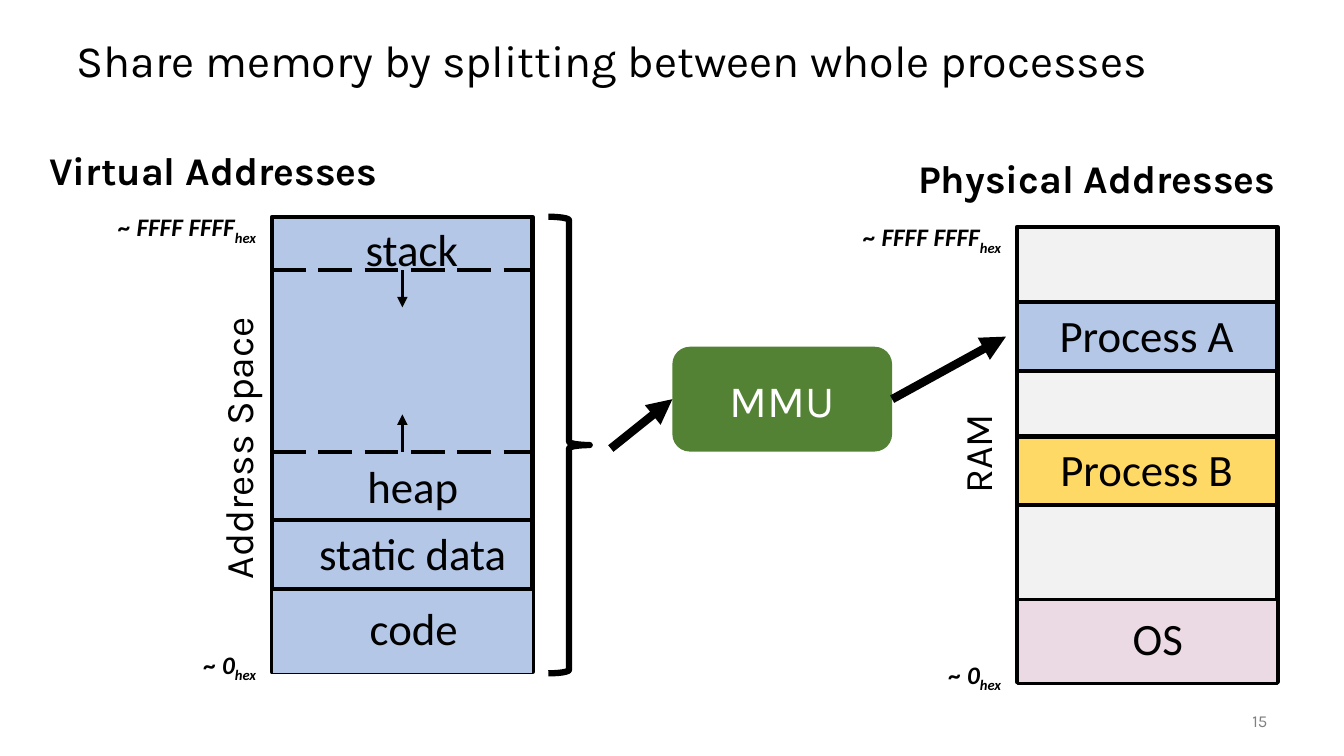
from pptx import Presentation
from pptx import util as u
from pptx.dml.color import RGBColor
from pptx.enum import dml, shapes, text
from pptx.oxml.ns import qn
from lxml import etree

COLORS = {"ink": "000000", "page": "808080", "white": "FFFFFF", "blue": "B4C7E7",
          "ram": "F2F2F2", "os": "EBDAE3", "yellow": "FFD966", "green": "548235"}
LEFT, CENTER, RIGHT = text.PP_ALIGN.LEFT, text.PP_ALIGN.CENTER, text.PP_ALIGN.RIGHT
RECT = shapes.MSO_SHAPE.RECTANGLE

prs = Presentation()
prs.slide_width, prs.slide_height = u.Inches(13.33), u.Inches(7.5)
# The grid has 100 columns and 100 rows.
COL, ROW = prs.slide_width / 100, prs.slide_height / 100
slide = prs.slides.add_slide(prs.slide_layouts[5])


def grid(*lengths):
    """Turn alternating column and row counts into lengths."""
    return [u.Emu(round(n * (ROW if i % 2 else COL))) for i, n in enumerate(lengths)]


def write(frame, words, size, font="Karla", color="ink", align=LEFT, bold=False, subscript=""):
    frame.word_wrap = True
    par = frame.paragraphs[0]
    par.alignment = align
    par.add_run().text = words
    if subscript:
        low = par.add_run()
        low.text = subscript
        low.font._element.set("baseline", "-25000")
        par.font.italic = True
    par.font.name, par.font.size, par.font.bold = font, u.Pt(size), bold
    par.font.color.rgb = RGBColor.from_string(COLORS[color])


title = slide.shapes.title
title.left, title.top, title.width, title.height = grid(4.95, 3.33, 90, 10)
title.text_frame.vertical_anchor = text.MSO_ANCHOR.MIDDLE
write(title.text_frame, "Share memory by splitting between whole processes", 32)
title.text_frame.paragraphs[0].line_spacing = 0.9

# Both memories: a tall block with bands, counted from its top left corner
VIRTUAL, PHYSICAL = (20.25, 28.67), (75.68, 30)
WIDTH, HEIGHT, BAND, LAST = 19.38, 60.27, 9.07, 11.07
HEAP, STACK, CODE = 31.07, 7.07, 49.33
bands = [
    (VIRTUAL, 0, HEIGHT, "blue", 3),
    (VIRTUAL, CODE, LAST, "blue", 1),
    (VIRTUAL, 40.13, BAND, "blue", 3),
    (PHYSICAL, 0, HEIGHT, "ram", 3),
    (PHYSICAL, CODE, LAST, "os", 2.25),
    (PHYSICAL, 10, BAND, "blue", 3),
    (PHYSICAL, 27.73, BAND, "yellow", 3),
]
outlines = [(RECT, (x, y + down, WIDTH, tall), fill, line)
            for (x, y), down, tall, fill, line in bands]
outlines += [
    (shapes.MSO_SHAPE.RIGHT_BRACE, (40.8, VIRTUAL[1], 3.08, 60.4), None, 4.5),
    (shapes.MSO_SHAPE.ROUNDED_RECTANGLE, (50.03, 45.87, 16.35, 13.87), "green", 0),
]
for kind, place, fill, line in outlines:
    part = slide.shapes.add_shape(kind, *grid(*place))
    part.shadow.inherit = False
    if fill:
        part.fill.solid()
        part.fill.fore_color.rgb = RGBColor.from_string(COLORS[fill])
    else:
        part.fill.background()
    if line:
        part.line.color.rgb = RGBColor.from_string(COLORS["ink"])
        part.line.width = u.Pt(line)
    else:
        part.line.fill.background()
mmu = part
mmu.text_frame.vertical_anchor = text.MSO_ANCHOR.MIDDLE
write(mmu.text_frame, "MMU", 32, color="white", align=CENTER)

# Band names: memory, middle, top, width
for (x, y), middle, down, wide, name in [
    (VIRTUAL, 10.54, 50.13, 9.23, "code"),
    (VIRTUAL, 10.46, 40.27, 16.27, "static data"),
    (VIRTUAL, 10.46, 31.33, 9.23, "heap"),
    (VIRTUAL, 10.39, 0, 9.23, "stack"),
    (PHYSICAL, 10.46, 50.13, 9.23, "OS"),
    (PHYSICAL, 9.64, 10, 16.27, "Process A"),
    (PHYSICAL, 9.64, 27.73, 16.27, "Process B"),
]:
    label = slide.shapes.add_textbox(*grid(x + middle - wide / 2, y + down, wide, 7.73))
    write(label.text_frame, name, 32, "Calibri", align=CENTER)

for x, y in (VIRTUAL, PHYSICAL):
    for address, down, wide in (("~ FFFF FFFF", -1.33, 14.85), ("~ 0", 56.53, 5.78)):
        label = slide.shapes.add_textbox(*grid(x - 0.45 - wide, y + down, wide, 4.8))
        write(label.text_frame, address, 18, "Calibri", align=RIGHT, bold=True, subscript="hex")

for heading, x, y, turn in [
    ("Virtual Addresses", 2.93, 18.67, 0),
    ("Physical Addresses", 67.58, 19.73, 0),
    ("Address Space", 3, 55.47, 270),
    ("RAM", 57.98, 56.27, 270),
]:
    label = slide.shapes.add_textbox(*grid(x, y, 29.48, 7.6))
    label.rotation = turn
    write(label.text_frame, heading, 28, align=CENTER if turn else LEFT, bold=not turn)

page = slide.shapes.add_textbox(*grid(87.53, 92.67, 7.5, 5.33))
page.text_frame.vertical_anchor = text.MSO_ANCHOR.MIDDLE
write(page.text_frame, "15", 12, color="page", align=RIGHT)

# Dashed borders, growth arrows, then the arrows into and out of the MMU
x, y = VIRTUAL
growth = x + WIDTH / 2
for ends, width, dashed, join in [
    ((x, y + HEAP, x + WIDTH, y + HEAP), 3, True, None),
    ((x, y + STACK, x + WIDTH, y + STACK), 3, True, None),
    ((growth, y + HEAP, growth, y + HEAP - 4.93), 2.5, False, None),
    ((growth, y + STACK, growth, y + STACK + 4.93), 2.5, False, None),
    ((45.45, 59.33, 50.03, 52.8), 6, False, "in"),
    ((66.38, 52.8, 74.85, 44.53), 6, False, "out"),
]:
    link = slide.shapes.add_connector(shapes.MSO_CONNECTOR.STRAIGHT, *grid(*ends))
    link.line.color.rgb = RGBColor.from_string(COLORS["ink"])
    link.line.width = u.Pt(width)
    if join == "in":
        link.end_connect(mmu, 1)
    elif join == "out":
        link.begin_connect(mmu, 3)
    properties = link._element.spPr
    if dashed:
        link.line.dash_style = dml.MSO_LINE.LONG_DASH
    else:
        etree.SubElement(properties.find(qn("a:ln")), qn("a:tailEnd"), type="triangle")
    etree.SubElement(properties, qn("a:effectLst"))

prs.save("out.pptx")
